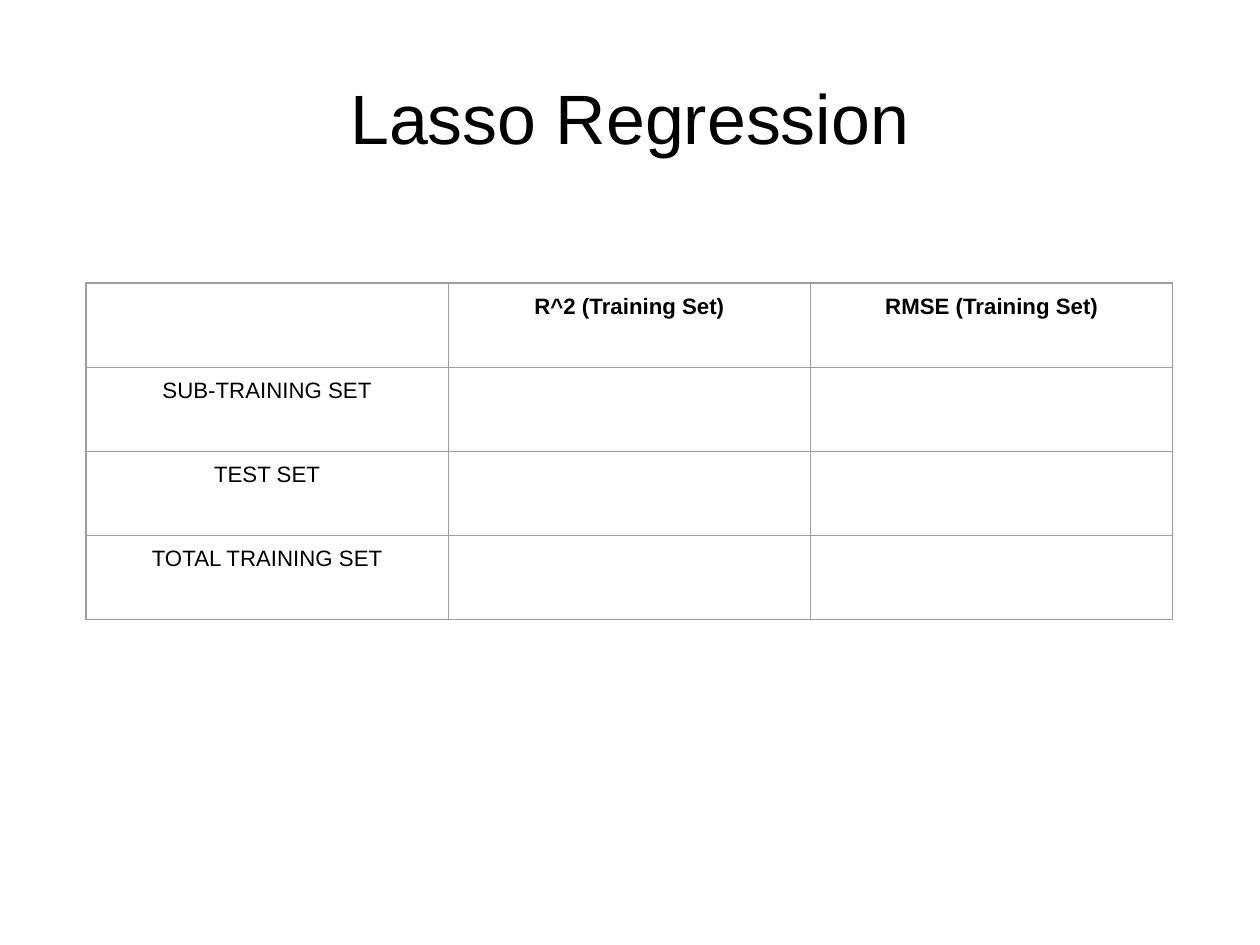
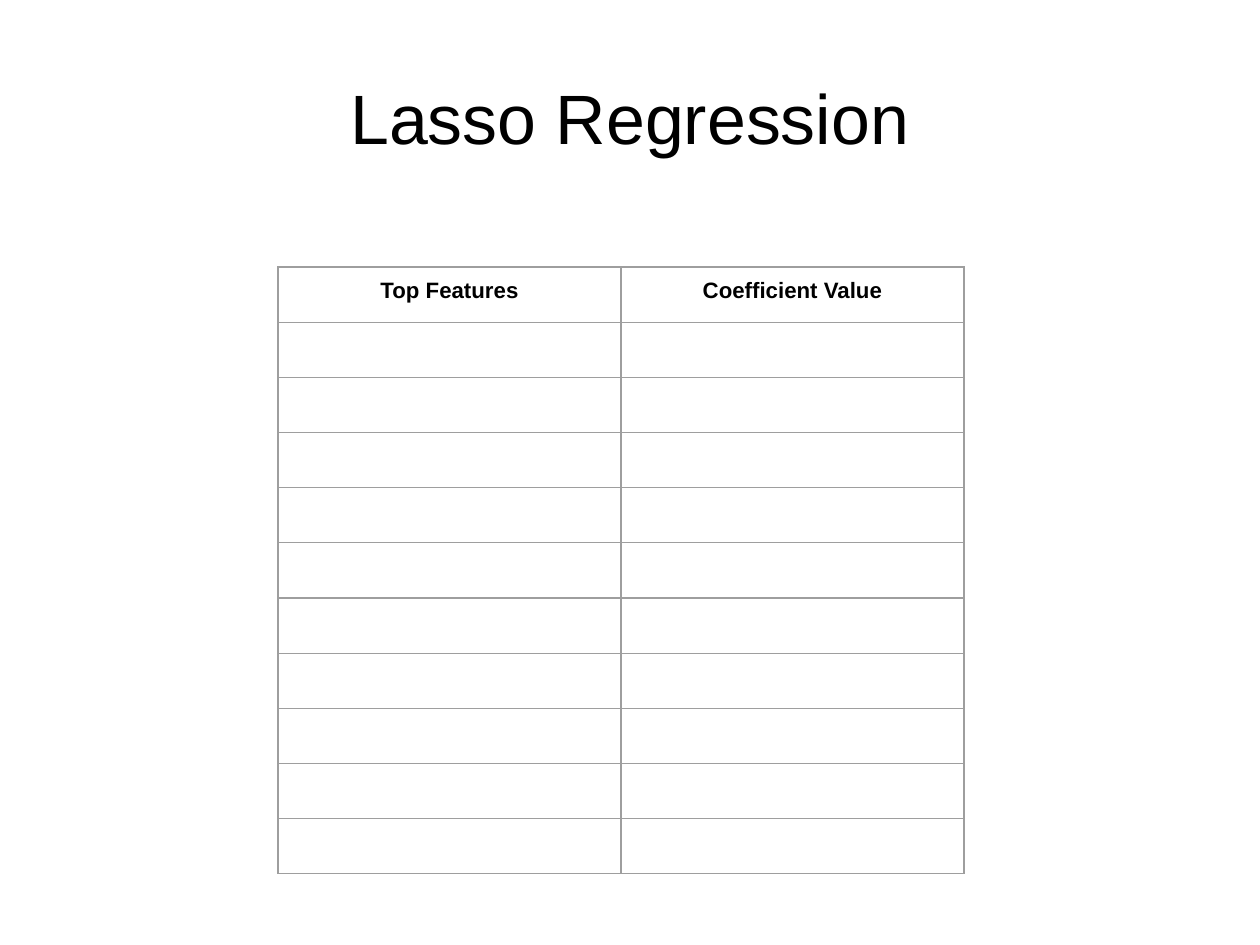
import pptx
import pptx.util
import pptx.dml.color
import pptx.enum.text
import pptx.oxml.ns
import lxml.etree

EMU_PER_PX = 8000
SLIDE_SIZE = (1260, 945)
HEADING_BOX = (63, 38, 1134, 158)
FONT = "Arial"
INK = "000000"
GRID = "9E9E9E"
GRID_POINTS = 0.75
CELL_POINTS = 14
CELL_MARGIN = 11


def px(length):
    return pptx.util.Emu(round(length * EMU_PER_PX))


def color(value):
    return pptx.dml.color.RGBColor.from_string(value)


def write(frame, text, size, bold=False, ink=INK):
    paragraph = frame.paragraphs[0]
    paragraph.alignment = pptx.enum.text.PP_ALIGN.CENTER
    if not text:
        ending = paragraph._p.get_or_add_endParaRPr()
        ending.set("sz", str(size * 100))
        return
    run = paragraph.add_run()
    run.text = text
    run.font.name = FONT
    run.font.size = pptx.util.Pt(size)
    run.font.bold = bold
    run.font.color.rgb = color(ink)


def place_heading(slide, box, text):
    heading = slide.shapes.title
    heading.left, heading.top, heading.width, heading.height = map(px, box)
    frame = heading.text_frame
    frame.margin_left = frame.margin_right = frame.margin_top = frame.margin_bottom = 0
    frame.vertical_anchor = pptx.enum.text.MSO_ANCHOR.MIDDLE
    frame.auto_size = pptx.enum.text.MSO_AUTO_SIZE.NONE
    write(frame, text, size=44)


def outline_cell(cell):
    properties = cell._tc.get_or_add_tcPr()
    qn = pptx.oxml.ns.qn
    for side in ("a:lnL", "a:lnR", "a:lnT", "a:lnB"):
        border = lxml.etree.SubElement(properties, qn(side), w=str(pptx.util.Pt(GRID_POINTS)))
        fill = lxml.etree.SubElement(border, qn("a:solidFill"))
        lxml.etree.SubElement(fill, qn("a:srgbClr"), val=GRID)


def place_grid(slide, box, rows):
    column_count = len(rows[0])
    left, top, width, height = box
    grid = slide.shapes.add_table(len(rows), column_count, *map(px, box)).table
    grid.first_row = grid.horz_banding = False
    for column in grid.columns:
        column.width = px(width / column_count)
    for row_index, labels in enumerate(rows):
        grid.rows[row_index].height = px(height / len(rows))
        for column_index, label in enumerate(labels):
            cell = grid.cell(row_index, column_index)
            cell.margin_left = cell.margin_right = px(CELL_MARGIN)
            cell.margin_top = cell.margin_bottom = px(CELL_MARGIN)
            outline_cell(cell)
            cell.fill.background()
            write(cell.text_frame, label, size=CELL_POINTS, bold=row_index == 0)


def add_results_slide(deck, heading, box, rows):
    title_only = deck.slide_layouts[5]
    slide = deck.slides.add_slide(title_only)
    place_heading(slide, HEADING_BOX, heading)
    place_grid(slide, box, rows)


def main():
    deck = pptx.Presentation()
    deck.slide_width, deck.slide_height = map(px, SLIDE_SIZE)

    scores = [["", "R^2 (Training Set)", "RMSE (Training Set)"]]
    scores += [[name, "", ""] for name in ("SUB-TRAINING SET", "TEST SET", "TOTAL TRAINING SET")]
    coefficients = [["Top Features", "Coefficient Value"]] + [["", ""]] * 10

    add_results_slide(deck, "Lasso Regression", (86, 283, 1087, 337), scores)
    add_results_slide(deck, "Lasso Regression", (278, 267, 686, 607), coefficients)
    deck.save("out.pptx")


if __name__ == "__main__":
    main()
